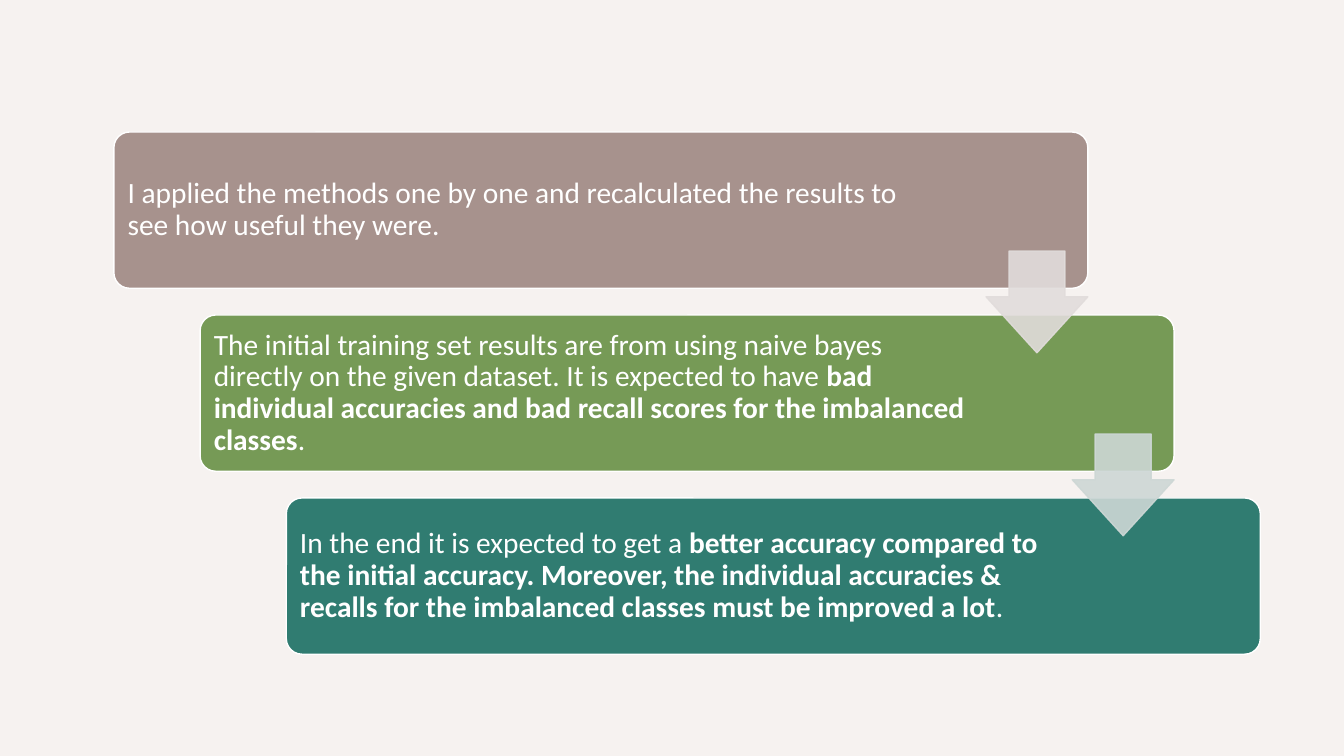
import pptx
import pptx.util
import pptx.dml.color
import pptx.enum.shapes
import pptx.enum.text
import pptx.oxml
import pptx.oxml.ns
from dataclasses import dataclass
from pptx.util import Inches

SHAPES = pptx.enum.shapes.MSO_SHAPE


@dataclass(frozen=True)
class Theme:
    """Colours and type sizes of the slide."""
    background: str = "F6F2F0"
    white: str = "FFFFFF"
    cards: tuple = ("A7928D", "769A56", "307C71")
    arrows: tuple = ("E1DCDB", "CDD7D5")
    arrow_opacity: int = 90
    font: str = "Calibri"
    text_size: float = 21
    line_width: float = 1


class StepSlide:
    """Holds the theme and the current slide and draws its elements."""

    def __init__(self, presentation, theme):
        """Add a blank slide with a plain background."""
        self.theme = theme
        self.slide = presentation.slides.add_slide(presentation.slide_layouts[6])
        self.paint(self.slide.background.fill, theme.background)

    def paint(self, fill, color, opacity=100):
        """Make a fill solid, with an opacity in percent."""
        fill.solid()
        fill.fore_color.rgb = pptx.dml.color.RGBColor.from_string(color)
        if opacity < 100:
            tag = pptx.oxml.ns.qn("a:srgbClr")
            for element in fill.fore_color._xFill.iter(tag):
                alpha = pptx.oxml.parse_xml(
                    f'<a:alpha {pptx.oxml.ns.nsdecls("a")} val="{opacity * 1000}"/>')
                element.append(alpha)

    def add_shape(self, kind, box, adjustments, fill, line, opacity=100):
        """Add a preset shape; box is left, top, width, height in inches."""
        shape = self.slide.shapes.add_shape(kind, *map(Inches, box))
        shape.shadow.inherit = False
        for index, value in enumerate(adjustments):
            shape.adjustments[index] = value
        self.paint(shape.fill, fill, opacity)
        self.paint(shape.line.fill, line, opacity)
        shape.line.width = pptx.util.Pt(self.theme.line_width)
        return shape

    def add_card(self, box, color, right_margin, runs):
        """Add a rounded card; runs are pairs of text and bold."""
        card = self.add_shape(SHAPES.ROUNDED_RECTANGLE, box, [0.1], color, self.theme.white)
        frame = card.text_frame
        frame.word_wrap = True
        frame.vertical_anchor = pptx.enum.text.MSO_ANCHOR.MIDDLE
        frame.margin_left = frame.margin_top = frame.margin_bottom = Inches(0.09)
        frame.margin_right = Inches(right_margin)
        paragraph = frame.paragraphs[0]
        paragraph.alignment = pptx.enum.text.PP_ALIGN.LEFT
        paragraph.line_spacing = 0.9
        for text, bold in runs:
            run = paragraph.add_run()
            run.text = text
            run.font.name = self.theme.font
            run.font.size = pptx.util.Pt(self.theme.text_size)
            run.font.bold = bold
            run.font.color.rgb = pptx.dml.color.RGBColor.from_string(self.theme.white)

    def add_arrow(self, box, color):
        """Add a translucent down arrow."""
        self.add_shape(SHAPES.DOWN_ARROW, box, [0.45, 0.55], color, color,
                       self.theme.arrow_opacity).adjustments[0] = 0.55


STEPS = [
    (1.68, [("I applied the methods one by one and recalculated the results "
             "to see how useful they were.", False)]),
    (1.96, [("The initial training set results are from using naive bayes directly "
             "on the given dataset.\u00a0It is expected to have ", False),
            ("bad individual accuracies and bad recall scores for the "
             "imbalanced classes", True),
            (".", False)]),
    (1.96, [("In the end it is expected to get a ", False),
            ("better accuracy compared to the initial accuracy. Moreover, the "
             "individual accuracies & recalls for the imbalanced classes must be "
             "improved a lot", True),
            (".", False)]),
]
CARD_LEFT, CARD_TOP, CARD_WIDTH, CARD_HEIGHT = 1.13, 1.31, 9.66, 1.55
STEP_X, STEP_Y = 0.855, 1.815
ARROW_LEFT, ARROW_TOP, ARROW_SIZE = 9.78, 2.49, 1.01


def main():
    """Build the staircase of cards and the arrows between them."""
    presentation = pptx.Presentation()
    presentation.slide_width = Inches(13.33)
    presentation.slide_height = Inches(7.5)
    theme = Theme()
    steps = StepSlide(presentation, theme)
    for index, (right_margin, runs) in enumerate(STEPS):
        box = (CARD_LEFT + index * STEP_X, CARD_TOP + index * STEP_Y,
               CARD_WIDTH, CARD_HEIGHT)
        steps.add_card(box, theme.cards[index], right_margin, runs)
    for index, color in enumerate(theme.arrows):
        box = (ARROW_LEFT + index * STEP_X, ARROW_TOP + index * STEP_Y,
               ARROW_SIZE, ARROW_SIZE)
        steps.add_arrow(box, color)
    presentation.save("out.pptx")


main()
